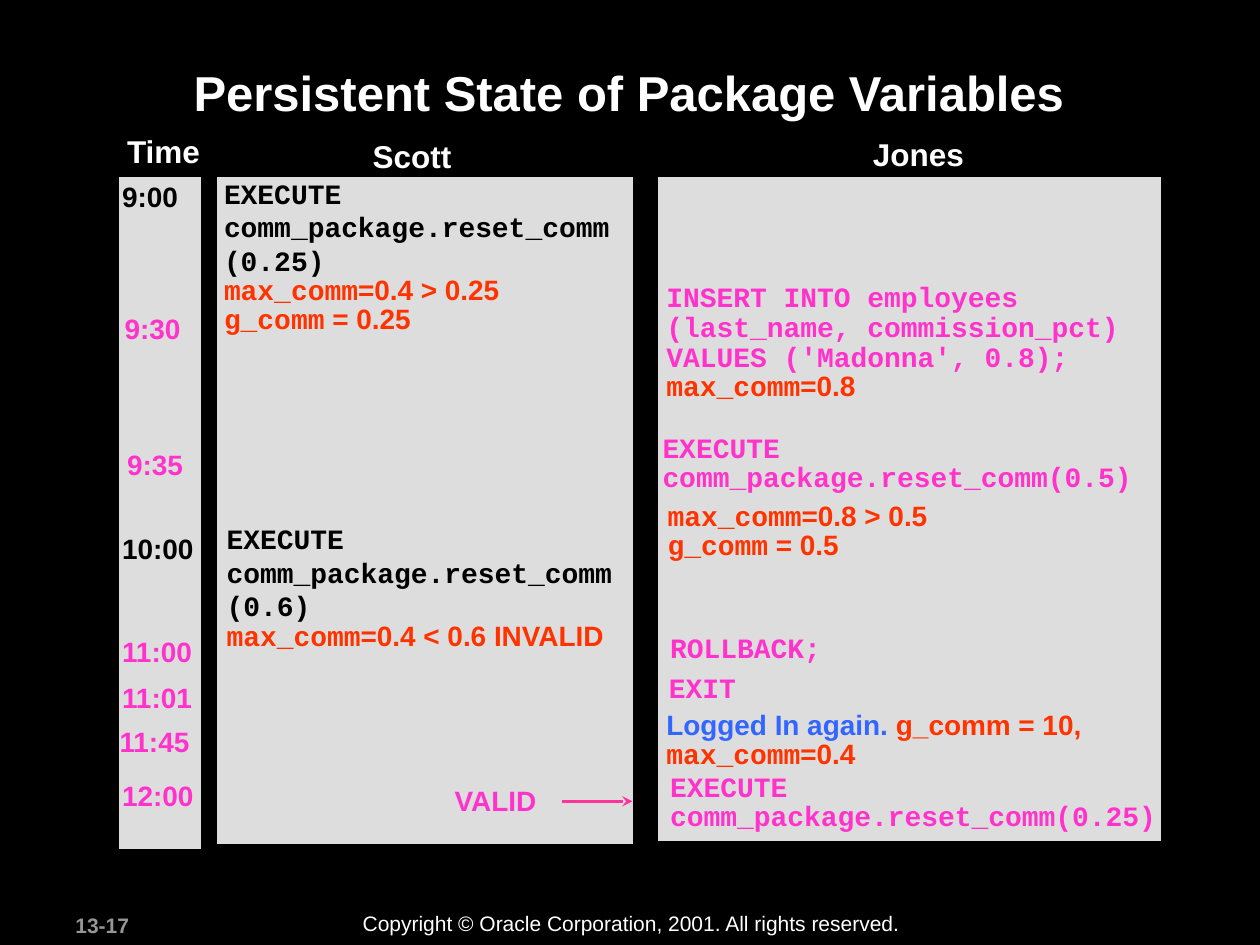
from lxml import etree
from pptx import Presentation
from pptx import util as u
from pptx.dml.color import RGBColor
from pptx.enum import shapes, text
from pptx.oxml import ns

# The slide is a grid of 100 columns by 75 rows.
CELL = u.Inches(0.1)

BLACK = RGBColor(0x00, 0x00, 0x00)
WHITE = RGBColor(0xFF, 0xFF, 0xFF)
GREY = RGBColor(0x96, 0x96, 0x96)
PANEL = RGBColor(0xDD, 0xDD, 0xDD)
PINK = RGBColor(0xFF, 0x33, 0xCC)
ARROW_PINK = RGBColor(0xFF, 0x33, 0x99)
RED = RGBColor(0xFF, 0x33, 0x00)
BLUE = RGBColor(0x33, 0x66, 0xFF)

SANS, MONO = "Arial", "Courier New"

PANELS = [  # column, row, width, height
    (52.1, 13.9, 40.2, 53),
    (17.1, 13.9, 33.3, 53.2),
    (9.3, 13.9, 6.8, 53.6),
]

HEADINGS = [  # column, row, width, label
    (9.1, 10, 7.9, "Time"),
    (28.6, 10.4, 8.3, "Scott"),
    (68.3, 10.2, 9.4, "Jones"),
]

TIMES = [  # column, row, label, colour
    (8.7, 13.8, "9:00", BLACK),
    (8.9, 24.2, "9:30", PINK),
    (9.1, 35, "9:35", PINK),
    (8.7, 41.7, "10:00", BLACK),
    (8.7, 49.9, "11:00", PINK),
    (8.7, 53.5, "11:01", PINK),
    (8.5, 57, "11:45", PINK),
    (8.7, 61.3, "12:00", PINK),
]


def cells(*counts):
    return [round(CELL * count) for count in counts]


def code(line, colour=PINK, spacing=0.85, before=0):
    return [(line, MONO, colour)], spacing, before


def scott_code(line):
    return code(line, BLACK, 0.95, 1)


def state(variable, value):
    """A variable in the code font followed by its value in the text font."""
    return [(variable, MONO, RED), (value, SANS, RED)], 0.85, 0


EVENTS = [  # column, row, width, height, lines
    (16.8, 13.7, 35, 13.4, [
        scott_code("EXECUTE"),
        scott_code("comm_package.reset_comm"),
        scott_code("(0.25)"),
        state("max_comm", "=0.4 > 0.25"),
        state("g_comm", " = 0.25")]),
    (51.9, 22, 39.9, 10.5, [
        code("INSERT INTO employees", spacing=0.9),
        code("(last_name, commission_pct)", spacing=0.9),
        code("VALUES ('Madonna', 0.8);", spacing=0.9),
        state("max_comm", "=0.8")]),
    (51.6, 34.1, 40.1, 5.5, [
        code("EXECUTE"),
        code("comm_package.reset_comm(0.5)")]),
    (52, 39.5, 35, 5.5, [
        state("max_comm", "=0.8 > 0.5"),
        state("g_comm", " = 0.5")]),
    (17, 41.1, 35, 11.1, [
        scott_code("EXECUTE"),
        scott_code("comm_package.reset_comm"),
        scott_code("(0.6)"),
        state("max_comm", "=0.4 < 0.6 INVALID")]),
    (52.2, 50, 39.7, 3.3, [code("ROLLBACK;")]),
    (52.1, 53.1, 40.1, 3.3, [code("EXIT")]),
    (51.9, 56.1, 40, 5.5, [
        ([("Logged In again. ", SANS, BLUE), ("g_comm = 10, ", SANS, RED),
          ("max_comm", MONO, RED), ("=0.4", SANS, RED)], 0.85, 0)]),
    (52.2, 61, 41.1, 5.5, [
        code("EXECUTE"),
        code("comm_package.reset_comm(0.25)")]),
]


def add_panel(slide, *place):
    panel = slide.shapes.add_shape(shapes.MSO_SHAPE.RECTANGLE, *cells(*place))
    panel.shadow.inherit = False
    panel.fill.solid()
    panel.fill.fore_color.rgb = PANEL
    panel.line.color.rgb = BLACK
    panel.line.width = u.Pt(2)


def style(font, name, size, colour, bold):
    font.name, font.size, font.bold = name, u.Pt(size), bold
    font.color.rgb = colour


def add_label(slide, place, label, size=16, colour=WHITE, bold=True,
              wrap=True, align=text.PP_ALIGN.LEFT):
    frame = slide.shapes.add_textbox(*cells(*place)).text_frame
    frame.word_wrap = wrap
    frame.text = label
    line = frame.paragraphs[0]
    line.alignment = align
    style(line.runs[0].font, SANS, size, colour, bold)


def add_event(slide, place, lines):
    """A block of lines, each made of (words, font, colour) pieces."""
    frame = slide.shapes.add_textbox(*cells(*place)).text_frame
    frame.word_wrap = True
    for index, (pieces, spacing, before) in enumerate(lines):
        line = frame.add_paragraph() if index else frame.paragraphs[0]
        line.line_spacing = spacing
        line.space_before = u.Pt(before if index else 0)
        for words, font_name, colour in pieces:
            run = line.add_run()
            run.text = words
            style(run.font, font_name, 16, colour, True)


def add_arrow(slide, *ends):
    arrow = slide.shapes.add_connector(
        shapes.MSO_CONNECTOR.STRAIGHT, *cells(*ends))
    arrow.line.color.rgb = ARROW_PINK
    arrow.line.width = u.Pt(2)
    outline = arrow.line._get_or_add_ln()
    etree.SubElement(outline, ns.qn("a:tailEnd"), type="stealth")
    etree.SubElement(arrow._element.spPr, ns.qn("a:effectLst"))


def main():
    deck = Presentation()
    deck.slide_width, deck.slide_height = cells(100, 75)
    slide = deck.slides.add_slide(deck.slide_layouts[6])
    slide.background.fill.solid()
    slide.background.fill.fore_color.rgb = BLACK

    add_label(slide, (5, 71.9, 10.5, 3), "13-17", 12, GREY)
    add_label(slide, (27.8, 71.8, 44.8, 3),
              "Copyright © Oracle Corporation, 2001. All rights reserved.",
              12, bold=False)
    for place in PANELS:
        add_panel(slide, *place)
    add_label(slide, (9.4, 4.5, 81, 9.6),
              "Persistent State of Package Variables", 28,
              align=text.PP_ALIGN.CENTER)
    for column, row, width, label in HEADINGS:
        add_label(slide, (column, row, width, 4), label, 18, wrap=False)
    for column, row, label, colour in TIMES:
        add_label(slide, (column, row, 8.5, 3.7), label, colour=colour)
    for *place, lines in EVENTS:
        add_event(slide, place, lines)
    add_label(slide, (35.1, 61.7, 10.2, 3.7), "VALID", colour=PINK)
    add_arrow(slide, 44.6, 63.6, 50.2, 63.6)

    deck.save("out.pptx")


if __name__ == "__main__":
    main()
